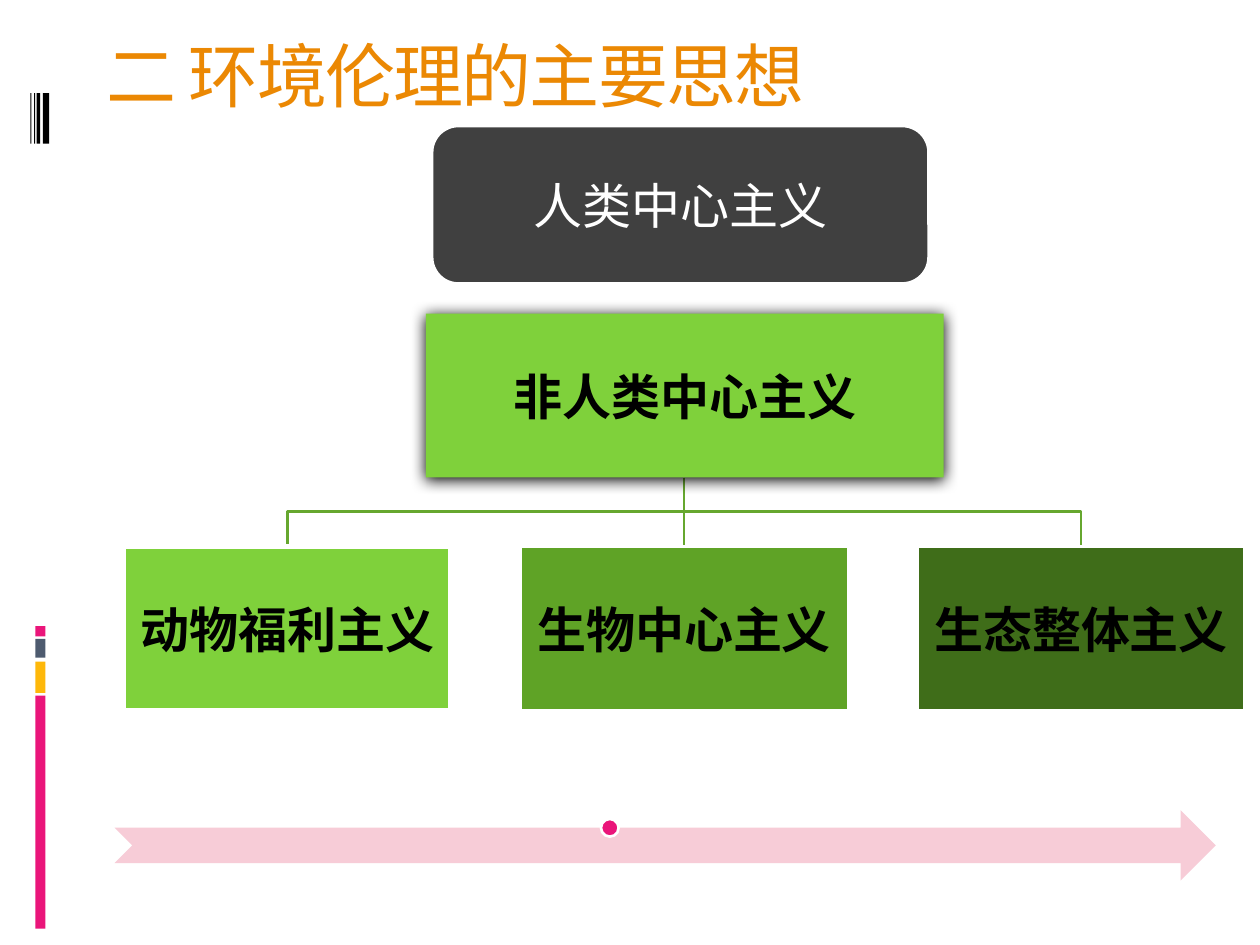
from lxml import etree
from pptx import Presentation
from pptx.dml.color import RGBColor
from pptx.enum.shapes import MSO_CONNECTOR as Connector, MSO_SHAPE as Shape
from pptx.enum.text import MSO_ANCHOR as Anchor, PP_ALIGN as Align
from pptx.oxml.ns import qn
from pptx.util import Inches, Pt

BLACK = RGBColor(0x00, 0x00, 0x00)
WHITE = RGBColor(0xFF, 0xFF, 0xFF)
ORANGE = RGBColor(0xEB, 0x88, 0x03)
PINK = RGBColor(0xEA, 0x15, 0x7A)
PALE_PINK = RGBColor(0xF7, 0xCC, 0xD7)
YELLOW = RGBColor(0xFE, 0xB8, 0x0A)
SLATE = RGBColor(0x4E, 0x5B, 0x6F)
CHARCOAL = RGBColor(0x40, 0x40, 0x40)
LIGHT_GREEN = RGBColor(0x7F, 0xD1, 0x3B)
MID_GREEN = RGBColor(0x5F, 0xA3, 0x26)
DARK_GREEN = RGBColor(0x3F, 0x6D, 0x19)
LINE_GREEN = RGBColor(0x66, 0xA7, 0x2F)


class SlideBuilder:
    title_format = {"name": "Noto Sans Mono", "size": Pt(40)}
    label_format = {"name": "Calibri", "size": Pt(28)}
    branch_width = Pt(1.5)

    def __init__(self, page):
        self.page = page

    def add_text(self, box, text, color, formats, inset=None):
        frame = box.text_frame
        frame.word_wrap = True
        if inset is not None:
            for side in ("left", "top", "right", "bottom"):
                setattr(frame, f"margin_{side}", Inches(inset))
        para = frame.paragraphs[0]
        span = para.add_run()
        span.text = text
        for name, value in formats.items():
            setattr(span.font, name, value)
        span.font.color.rgb = color
        return para, span

    def title(self, text, *place):
        box = self.page.shapes.add_textbox(*map(Inches, place))
        _, span = self.add_text(box, text, ORANGE, self.title_format)
        span.font._element.set("spc", "-100")

    def shape(self, kind, place, fill, outline=0):
        """Add a filled preset shape; outline is the white border in points."""
        box = self.page.shapes.add_shape(kind, *map(Inches, place))
        box.shadow.inherit = False
        box.fill.solid()
        box.fill.fore_color.rgb = fill
        if outline:
            box.line.color.rgb = WHITE
            box.line.width = Pt(outline)
        else:
            box.line.fill.background()
        return box

    def label(self, text, kind, place, fill, outline=0, color=BLACK, bold=True, inset=0.02):
        box = self.shape(kind, place, fill, outline)
        box.text_frame.vertical_anchor = Anchor.MIDDLE
        para, _ = self.add_text(box, text, color, {**self.label_format, "bold": bold}, inset)
        para.alignment = Align.CENTER
        return box

    def glow(self, box):
        """Give the box a soft black shadow just below it."""
        effects = box._element.spPr.find(qn("a:effectLst"))
        shadow = etree.SubElement(effects, qn("a:outerShdw"), blurRad=str(Pt(8.5)),
                                  dist=str(Pt(1)), dir="5400000", rotWithShape="0")
        etree.SubElement(shadow, qn("a:srgbClr"), val=str(BLACK))

    def style_branch(self, branch):
        branch.line.color.rgb = LINE_GREEN
        branch.line.width = self.branch_width

    def stem(self, x, top, bottom):
        line = self.page.shapes.add_connector(
            Connector.STRAIGHT, Inches(x), Inches(top), Inches(x), Inches(bottom))
        self.style_branch(line)
        etree.SubElement(line._element.spPr, qn("a:effectLst"))

    def elbow(self, start_x, end_x, top, middle, bottom):
        corners = [(start_x, middle), (end_x, middle), (end_x, bottom)]
        outline = self.page.shapes.build_freeform(Inches(start_x), Inches(top))
        outline.add_line_segments([(Inches(x), Inches(y)) for x, y in corners], close=False)
        branch = outline.convert_to_shape()
        branch.shadow.inherit = False
        branch.fill.background()
        self.style_branch(branch)


def main():
    deck = Presentation()
    deck.slide_width, deck.slide_height = Inches(10), Inches(7.5)
    builder = SlideBuilder(deck.slides.add_slide(deck.slide_layouts[6]))

    for top, height, color in [(5.52, 1.85, PINK), (5.25, 0.25, YELLOW),
                               (5.07, 0.15, SLATE), (4.97, 0.08, PINK)]:
        builder.shape(Shape.RECTANGLE, (0.28, top, 0.08, height), color)
    for left, width in [(0.34, 0.05), (0.29, 0.03), (0.27, 0.01), (0.24, 0.01)]:
        builder.shape(Shape.RECTANGLE, (left, 0.74, width, 0.4), BLACK)

    builder.title("二 环境伦理的主要思想", 0.75, 0.21, 8.5, 1)

    root_x, root_bottom, child_top = 5.43, 3.79, 4.34
    child_width, child_step = 2.6, 3.15
    for side in (-1, 1):
        builder.elbow(root_x, root_x + side * child_step, root_bottom, 4.06, child_top)
    builder.stem(root_x, root_bottom, child_top)

    root = builder.label("非人类中心主义", Shape.RECTANGLE, (3.38, 2.49, 4.11, 1.3), LIGHT_GREEN)
    builder.glow(root)
    children = [("动物福利主义", LIGHT_GREEN, 3), ("生物中心主义", MID_GREEN, 1.5),
                ("生态整体主义", DARK_GREEN, 1.5)]
    for index, (text, fill, outline) in enumerate(children):
        left = root_x - child_width / 2 + (index - 1) * child_step
        builder.label(text, Shape.RECTANGLE, (left, child_top, child_width, 1.3), fill, outline)

    builder.shape(Shape.NOTCHED_RIGHT_ARROW, (0.91, 6.43, 8.74, 0.56), PALE_PINK)
    builder.shape(Shape.OVAL, (4.77, 6.5, 0.14, 0.14), PINK, 1.5)
    builder.label("人类中心主义", Shape.ROUNDED_RECTANGLE, (3.43, 1, 3.94, 1.25), CHARCOAL,
                  outline=1.5, color=WHITE, bold=False, inset=0.12)

    deck.save("out.pptx")


if __name__ == "__main__":
    main()
